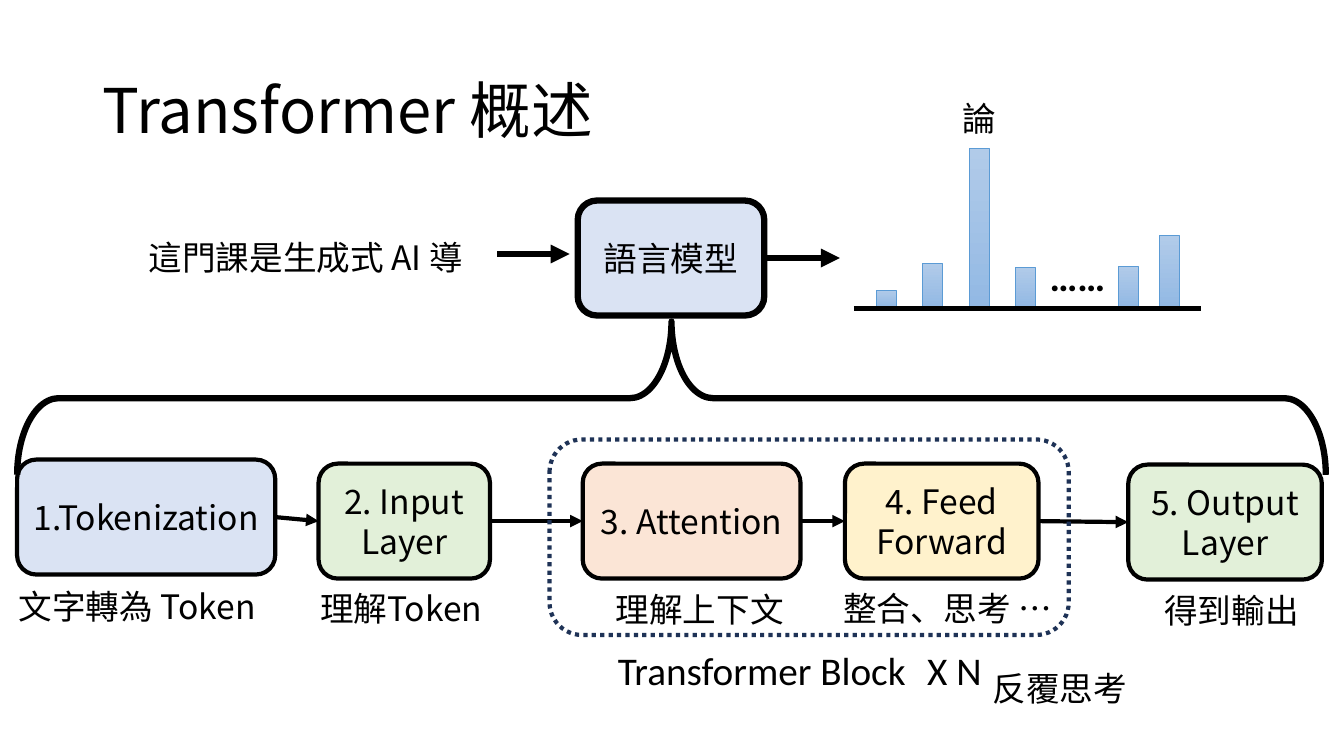
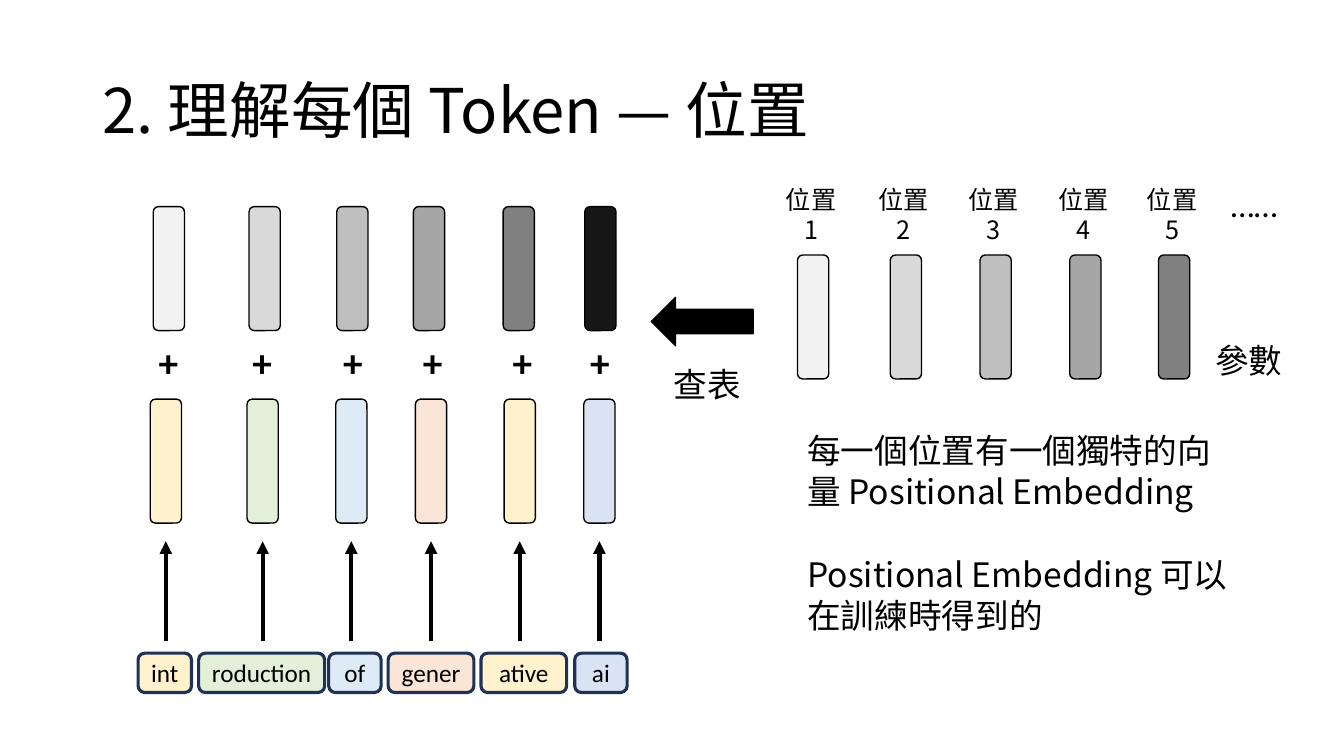
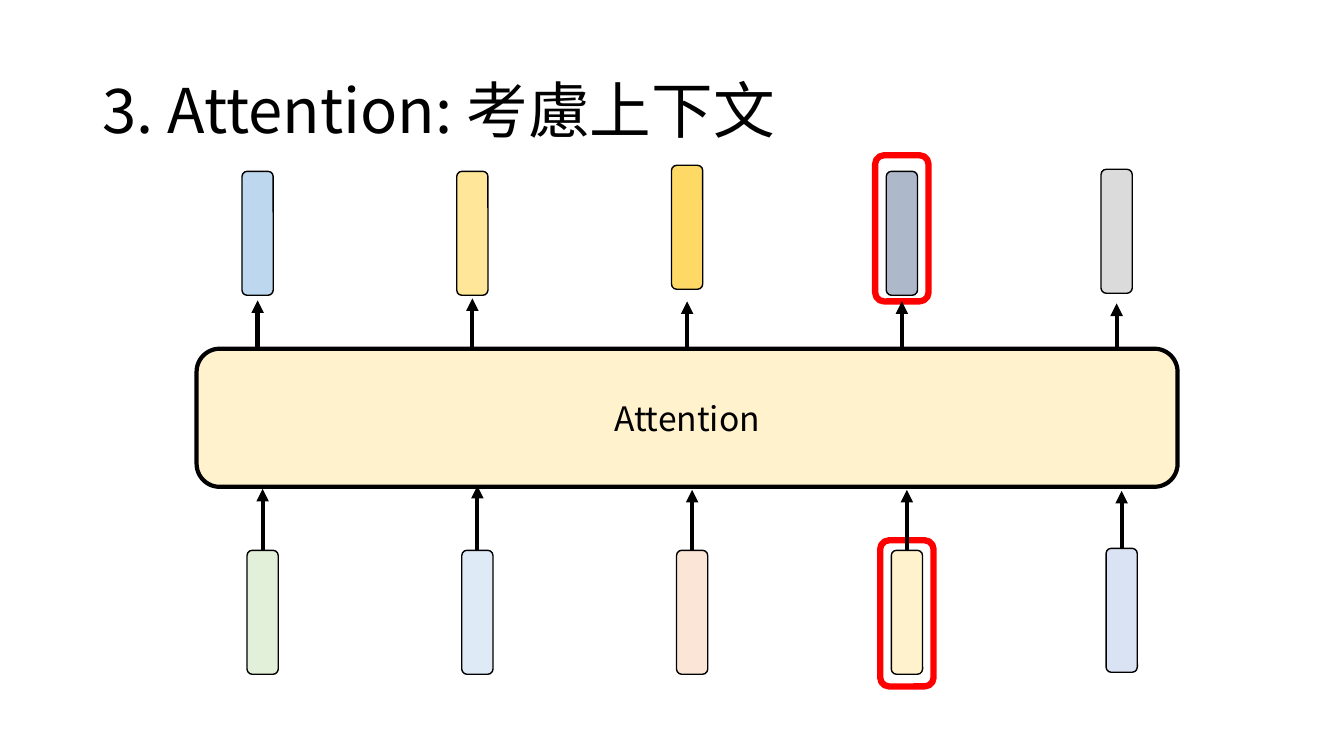
from lxml import etree
from pptx import Presentation
from pptx.dml.color import RGBColor
from pptx.enum.dml import MSO_LINE
from pptx.enum.shapes import MSO_CONNECTOR, MSO_SHAPE
from pptx.enum.text import MSO_ANCHOR, PP_ALIGN
from pptx.oxml.ns import qn
from pptx.util import Inches, Pt

ROUND, RECT = MSO_SHAPE.ROUNDED_RECTANGLE, MSO_SHAPE.RECTANGLE
BRACE, LEFT_ARROW = MSO_SHAPE.RIGHT_BRACE, MSO_SHAPE.LEFT_ARROW
STRAIGHT, DOTTED = MSO_CONNECTOR.STRAIGHT, MSO_LINE.ROUND_DOT
LEFT, CENTER, RIGHT = PP_ALIGN.LEFT, PP_ALIGN.CENTER, PP_ALIGN.RIGHT
TOP, MIDDLE = MSO_ANCHOR.TOP, MSO_ANCHOR.MIDDLE
SITE_TOP, SITE_LEFT, SITE_RIGHT = 0, 1, 3

NOTO, CALIBRI = "Noto Sans CJK SC", "Calibri"
BLACK = RGBColor(0x00, 0x00, 0x00)
RED = RGBColor(0xFF, 0x00, 0x00)
NAVY = RGBColor(0x1E, 0x32, 0x56)
BLUE = RGBColor(0xDA, 0xE3, 0xF3)
SKY = RGBColor(0xDE, 0xEB, 0xF7)
GREEN = RGBColor(0xE2, 0xF0, 0xD9)
PEACH = RGBColor(0xFB, 0xE5, 0xD6)
CREAM = RGBColor(0xFF, 0xF2, 0xCC)
CHART_TOP = RGBColor(0xB1, 0xCB, 0xE9)
CHART_BOTTOM = RGBColor(0x93, 0xB9, 0xE4)
CHART_EDGE = RGBColor(0x5B, 0x9B, 0xD5)
GRAYS = [RGBColor(v, v, v) for v in (0xF2, 0xD9, 0xBF, 0xA6, 0x80)]
NEAR_BLACK = RGBColor(0x18, 0x17, 0x17)
OUTPUT_COLORS = [RGBColor(0xBD, 0xD7, 0xEE), RGBColor(0xFF, 0xE6, 0x99),
                 RGBColor(0xFF, 0xD9, 0x66), RGBColor(0xAD, 0xB9, 0xCA),
                 RGBColor(0xDB, 0xDB, 0xDB)]
VECTOR_W, VECTOR_H = 0.31, 1.23

# Slide 1: stages as (text, left, top, width, fill)
STAGES = [
    ("1.Tokenization", 0.17, 4.56, 2.56, BLUE),
    ("2. Input\nLayer", 3.16, 4.6, 1.7, GREEN),
    ("3. Attention", 5.78, 4.6, 2.16, PEACH),
    ("4. Feed\nForward", 8.38, 4.6, 1.92, CREAM),
    ("5. Output\nLayer", 11.19, 4.61, 1.92, GREEN),
]
STAGE_H = 1.14
# Notes as (text, left, top, width)
STAGE_NOTES = [
    ("文字轉為 Token", -0.09, 5.76, 2.9),
    ("理解Token", 2.53, 5.78, 2.9),
    ("理解上下文", 5.45, 5.79, 2.98),
    ("整合、思考 …", 7.91, 5.78, 2.98),
    ("得到輸出", 11.38, 5.8, 1.67),
    ("反覆思考", 9.02, 6.58, 2.98),
    ("論", 9.3, 0.92, 0.82),
]
BLOCK_LABELS = [("Transformer Block", 5.38, 4.35), ("X N", 8.89, 1.15)]
# Probability bars as (left, height)
PROBABILITIES = [(8.69, 0.16), (9.15, 0.43), (9.61, 1.57),
                 (10.07, 0.39), (11.09, 0.4), (11.5, 0.7)]
BASELINE = 3.04

# Slide 2: tokens as (text, left, width, fill, embedding left, position left, plus centre)
TOKENS = [
    ("int", 1.37, 0.53, CREAM, 1.49, 1.52, 1.67),
    ("roduction", 1.97, 1.25, GREEN, 2.45, 2.47, 2.6),
    ("of", 3.26, 0.52, SKY, 3.33, 3.34, 3.5),
    ("gener", 3.85, 0.85, PEACH, 4.12, 4.1, 4.29),
    ("ative", 4.77, 0.85, CREAM, 5, 4.99, 5.18),
    ("ai", 5.7, 0.52, BLUE, 5.79, 5.8, 5.95),
]
TABLE_LEFTS = [7.91, 8.83, 9.72, 10.61, 11.49]
EXPLANATIONS = [("每一個位置有一個獨特的向量 Positional Embedding", 4.22),
                ("Positional Embedding 可以在訓練時得到的", 5.45)]

# Slide 3: columns as (input fill, input top, output top, lower tip, upper tip)
COLUMNS = [
    (GREEN, 5.46, 1.7, 4.85, 2.98),
    (SKY, 5.46, 1.7, 4.82, 2.96),
    (PEACH, 5.46, 1.64, 4.86, 2.99),
    (CREAM, 5.46, 1.7, 4.86, 2.99),
    (BLUE, 5.44, 1.68, 4.87, 3.01),
]
COLUMN_STEP, INPUT_LEFT, OUTPUT_LEFT = 2.13, 2.45, 2.4
HIGHLIGHTED = 3


def write(shape, text, size=24, font=NOTO, align=CENTER, anchor=MIDDLE,
          bold=False, spacing=None):
    tf = shape.text_frame
    tf.word_wrap = True
    tf.vertical_anchor = anchor
    for i, line in enumerate(text.split("\n")):
        p = tf.paragraphs[0] if i == 0 else tf.add_paragraph()
        p.alignment = align
        p.line_spacing = spacing
        r = p.add_run()
        r.text = line
        for name, value in {"size": Pt(size), "name": font, "bold": bold}.items():
            setattr(r.font, name, value)
        r.font.color.rgb = BLACK
        east_asian = etree.SubElement(r.font._element, qn("a:ea"))
        east_asian.set("typeface", font)


def add_text(s, text, left, top, width, height=0.5, anchor=TOP, **style):
    box = s.shapes.add_textbox(Inches(left), Inches(top), Inches(width), Inches(height))
    write(box, text, anchor=anchor, **style)


def add_shape(s, kind, left, top, width, height, fill=None, line=BLACK, weight=1,
              text=None, **style):
    sp = s.shapes.add_shape(kind, Inches(left), Inches(top), Inches(width), Inches(height))
    sp.shadow.inherit = False
    if fill is None:
        sp.fill.background()
    else:
        sp.fill.solid()
        sp.fill.fore_color.rgb = fill
    sp.line.color.rgb = line
    sp.line.width = Pt(weight)
    if text:
        tf = sp.text_frame
        tf.margin_left = tf.margin_right = 0
        write(sp, text, **style)
    return sp


def add_vector(s, left, top, fill):
    return add_shape(s, ROUND, left, top, VECTOR_W, VECTOR_H, fill)


def add_line(s, x1, y1, x2, y2, weight=3, head=True):
    c = s.shapes.add_connector(STRAIGHT, Inches(x1), Inches(y1), Inches(x2), Inches(y2))
    c.line.color.rgb = BLACK
    c.line.width = Pt(weight)
    if head:
        etree.SubElement(c.line._get_or_add_ln(), qn("a:tailEnd")).set("type", "triangle")
    etree.SubElement(c._element.spPr, qn("a:effectLst"))
    return c


def new_slide(prs, title):
    s = prs.slides.add_slide(prs.slide_layouts[6])
    add_text(s, title, 0.92, 0.4, 11.5, 1.45, anchor=MIDDLE, size=44, align=LEFT, spacing=0.9)
    return s


def overview_slide(prs):
    s = new_slide(prs, "Transformer 概述")

    # Language model with its prompt
    model = add_shape(s, ROUND, 5.73, 1.99, 1.85, 1.14, BLUE, weight=4.5, text="語言模型")
    add_text(s, "這門課是生成式 AI 導", 0.84, 2.3, 3.85, align=RIGHT)
    add_line(s, 4.93, 2.52, 5.65, 2.52, 4.5)
    add_line(s, 7.58, 2.56, 8.33, 2.56, 4.5).begin_connect(model, SITE_RIGHT)

    # Next-token probabilities
    for left, height in PROBABILITIES:
        bar = add_shape(s, RECT, left, BASELINE - height, 0.2, height,
                        CHART_TOP, CHART_EDGE, 0.5)
        bar.fill.gradient()
        bar.fill.gradient_angle = 270
        for stop, color in zip(bar.fill.gradient_stops, (CHART_TOP, CHART_BOTTOM)):
            stop.color.rgb = color
    add_line(s, 8.47, 3.06, 11.91, 3.06, head=False)
    add_text(s, "……", 9.79, 2.45, 1.79, 0.57, size=28, font=CALIBRI, bold=True)

    # Stages, chained by arrows
    stages = [add_shape(s, ROUND, left, top, width, STAGE_H, fill, weight=3, text=text)
              for text, left, top, width, fill in STAGES]
    for before, after in zip(stages, stages[1:]):
        arrow = add_line(s, 0, 0, 1, 1)
        arrow.begin_connect(before, SITE_RIGHT)
        arrow.end_connect(after, SITE_LEFT)

    # Brace and repeated block
    brace = add_shape(s, BRACE, 5.9, -2.54, 1.52, 12.98, weight=4.5)
    brace.rotation = 270
    brace.adjustments[0] = 0.271
    block = add_shape(s, ROUND, 5.45, 4.36, 5.15, 1.94, line=NAVY, weight=3)
    block.line.dash_style = DOTTED
    for text, left, width in BLOCK_LABELS:
        add_text(s, text, left, 6.36, width, 0.57, size=28, font=CALIBRI)
    for note in STAGE_NOTES:
        add_text(s, *note)


def position_slide(prs):
    s = new_slide(prs, "2. 理解每個 Token — 位置")

    # Tokens, embeddings and position vectors
    for (text, left, width, fill, embed_left, pos_left, plus_x), gray in zip(
            TOKENS, GRAYS + [NEAR_BLACK]):
        add_shape(s, ROUND, left, 6.48, width, 0.39, fill, NAVY, 2.25, text,
                  size=18, font=CALIBRI)
        add_vector(s, embed_left, 3.96, fill)
        add_vector(s, pos_left, 2.05, gray)
        arrow_x = embed_left + VECTOR_W / 2
        add_line(s, arrow_x, 6.36, arrow_x, 5.37)
        add_text(s, "+", plus_x - 0.65, 3.31, 1.3, 0.57, size=28, font=CALIBRI, bold=True)

    # Lookup table of positions
    for number, (left, gray) in enumerate(zip(TABLE_LEFTS, GRAYS), 1):
        add_vector(s, left, 2.53, gray)
        add_text(s, f"位置\n{number}", left - 0.31, 1.78, 0.89, 0.71, size=18)
    add_text(s, "……", 12.11, 1.78, 1.2, font=CALIBRI, align=LEFT)
    add_text(s, "參數", 11.78, 3.32, 1.21)
    add_shape(s, LEFT_ARROW, 6.46, 2.95, 1.01, 0.48, BLACK)
    add_text(s, "查表", 6.41, 3.56, 1.21)

    for text, top in EXPLANATIONS:
        add_text(s, text, 7.91, top, 4.44, 0.91, align=LEFT)


def attention_slide(prs):
    s = new_slide(prs, "3. Attention: 考慮上下文")

    # Input and output vectors with their arrows
    for i, (fill, in_top, out_top, low_tip, high_tip) in enumerate(COLUMNS):
        in_left = INPUT_LEFT + i * COLUMN_STEP
        out_left = OUTPUT_LEFT + i * COLUMN_STEP
        source = add_vector(s, in_left, in_top, fill)
        add_vector(s, out_left, out_top, OUTPUT_COLORS[i])
        if i == HIGHLIGHTED:
            for left, top in ((in_left, 5.36), (out_left, 1.54)):
                add_shape(s, ROUND, left - 0.11, top, 0.53, 1.45, line=RED, weight=4.5)
        in_x, out_x = in_left + VECTOR_W / 2, out_left + VECTOR_W / 2
        add_line(s, in_x, in_top, in_x, low_tip).begin_connect(source, SITE_TOP)
        add_line(s, out_x, 3.57, out_x, high_tip)

    add_shape(s, ROUND, 1.95, 3.46, 9.73, 1.37, CREAM, weight=3, text="Attention")


def main():
    prs = Presentation()
    prs.slide_width, prs.slide_height = Inches(13.33), Inches(7.5)
    overview_slide(prs)
    position_slide(prs)
    attention_slide(prs)
    prs.save("out.pptx")


if __name__ == "__main__":
    main()
